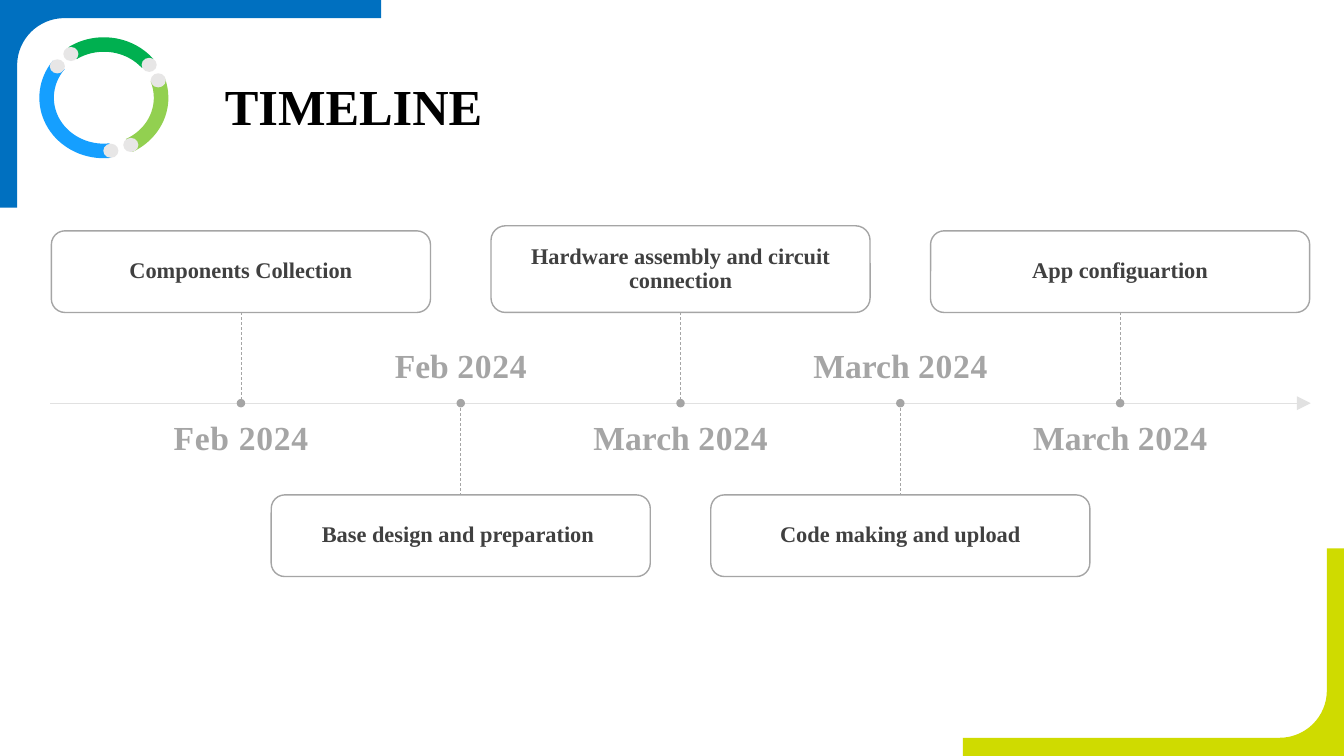
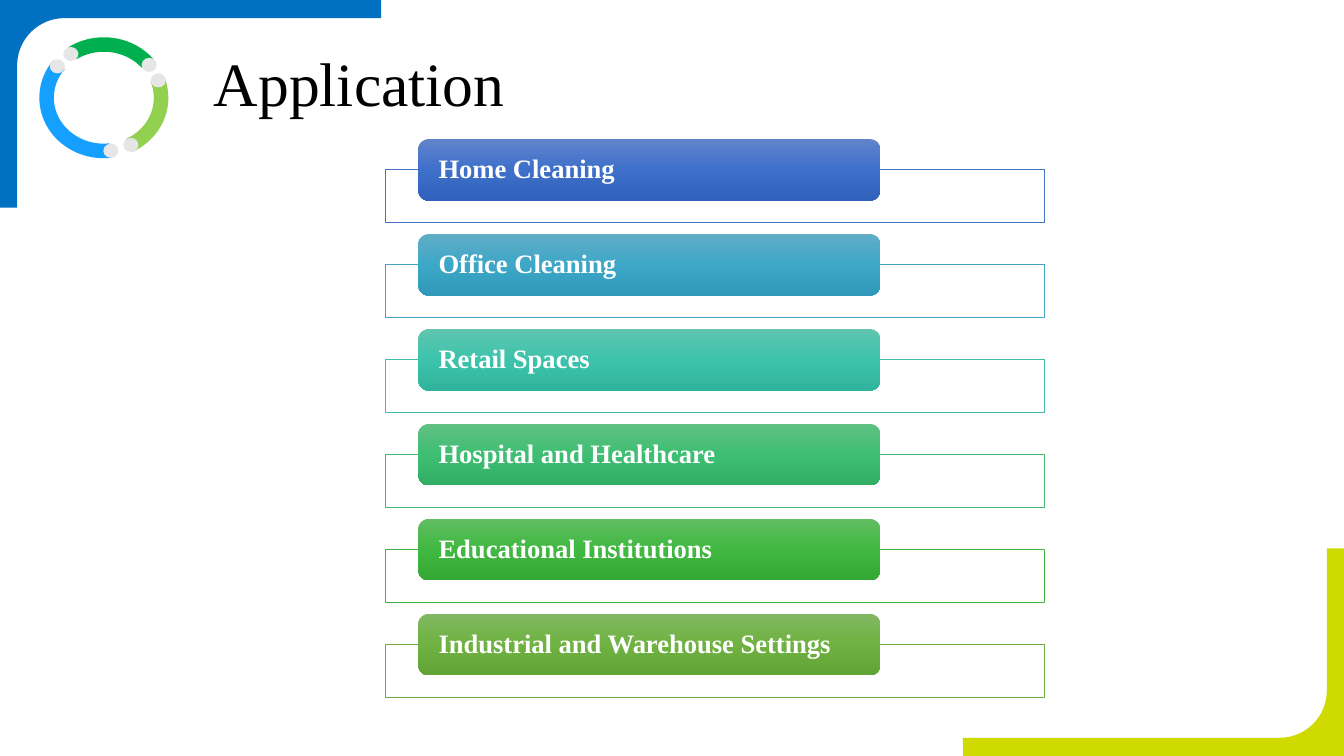
from copy import deepcopy
from math import cos, radians, sin

from lxml import etree
from pptx import Presentation
from pptx.dml.color import RGBColor
from pptx.enum.dml import MSO_LINE
from pptx.enum.shapes import MSO_CONNECTOR, MSO_SHAPE
from pptx.enum.text import MSO_ANCHOR, MSO_AUTO_SIZE, PP_ALIGN
from pptx.oxml.ns import qn
from pptx.util import Inches, Pt

STRAIGHT, DASH = MSO_CONNECTOR.STRAIGHT, MSO_LINE.DASH
OVAL, BLOCK_ARC = MSO_SHAPE.OVAL, MSO_SHAPE.BLOCK_ARC
RECTANGLE, ROUNDED = MSO_SHAPE.RECTANGLE, MSO_SHAPE.ROUNDED_RECTANGLE
TOP, MIDDLE, BOTTOM = MSO_ANCHOR.TOP, MSO_ANCHOR.MIDDLE, MSO_ANCHOR.BOTTOM
LEFT, CENTER = PP_ALIGN.LEFT, PP_ALIGN.CENTER

FONT = "Times New Roman"
BLACK = RGBColor(0x00, 0x00, 0x00)
WHITE = RGBColor(0xFF, 0xFF, 0xFF)
DARK_GRAY = RGBColor(0x40, 0x40, 0x40)
GRAY = RGBColor(0xA5, 0xA5, 0xA5)
AXIS_GRAY = RGBColor(0xE1, 0xE1, 0xE1)
DOT_GRAY = RGBColor(0xE7, 0xE6, 0xE6)
BLUE = RGBColor(0x00, 0x70, 0xC0)
LIME = RGBColor(0xCF, 0xDB, 0x00)
GREEN = RGBColor(0x00, 0xB0, 0x50)
SKY = RGBColor(0x15, 0x9F, 0xFF)
LIGHT_GREEN = RGBColor(0x92, 0xD0, 0x50)

SLIDE_WIDTH, SLIDE_HEIGHT = 13.33, 7.5

# Corner band outline; the curve runs from the fifth point to the last
CORNER = [(0.17, 2.06), (0, 2.06), (0, 0), (3.78, 0), (3.78, 0.18), (0.64, 0.18),
          (0.38, 0.18), (0.17, 0.39), (0.17, 0.65)]

# Ring segments: colour, start and end angle (clockwise degrees)
RING_SEGMENTS = [(GREEN, 235, 322), (SKY, 83, 216), (LIGHT_GREEN, 341, 62)]

# Milestones: label, box height, date runs, whether the month is spaced too
MILESTONES = [
    ("Components Collection", 0.81, ["Feb 2024"]),
    ("Base design and preparation ", 0.81, ["Feb ", "2024"]),
    ("Hardware assembly and circuit connection", 0.86, ["March ", "2024"]),
    ("Code making and upload", 0.81, ["March ", "2024"]),
    ("App configuartion", 0.81, ["March ", "2024"]),
]

# Applications: label, outline colour, gradient from top to bottom
APPLICATIONS = [
    ("Home Cleaning", "4472C4", ("6183CB", "3E70CA", "3062BB")),
    ("Office Cleaning", "44A3C0", ("61ADC8", "3DA7C7", "3098B8")),
    ("Retail Spaces", "43BDA7", ("60C5B1", "3DC3AB", "30B39C")),
    ("Hospital and Healthcare", "44B874", ("60C184", "3EBE73", "32AE65")),
    ("Educational Institutions", "46B246", ("61BD61", "40B841", "34A835")),
    ("Industrial and Warehouse Settings", "70AD47", ("81B861", "6FB242", "62A336")),
]


def style(shape, fill, line=None, width=1):
    shape.shadow.inherit = False
    if fill is not None:
        shape.fill.solid()
        shape.fill.fore_color.rgb = fill
    if line is None:
        shape.line.fill.background()
    else:
        shape.line.color.rgb = line
        shape.line.width = Pt(width)
    return shape


def add_corner(slide, points, fill):
    """Draw an outline whose last three points are one cubic curve."""
    corners = [(Inches(x), Inches(y)) for x, y in points]
    builder = slide.shapes.build_freeform(*corners[0], scale=1.0)
    builder.add_line_segments(corners[1:], close=True)
    shape = style(builder.convert_to_shape(), fill)
    segments = list(shape.element.iter(qn("a:lnTo")))[-3:]
    curve = etree.Element(qn("a:cubicBezTo"))
    segments[0].addprevious(curve)
    for segment in segments:
        curve.append(segment[0])
        segment.getparent().remove(segment)
    return shape


def add_box(slide, kind, left, top, width, height, fill, line=None, line_width=1):
    shape = slide.shapes.add_shape(
        kind, Inches(left), Inches(top), Inches(width), Inches(height))
    return style(shape, fill, line, line_width)


def add_centered(slide, kind, center_x, center_y, width, height, fill, line=None):
    return add_box(slide, kind, center_x - width / 2, center_y - height / 2,
                   width, height, fill, line)


def add_line(slide, start, end, color, width, dash=None, arrow=False):
    line = slide.shapes.add_connector(
        STRAIGHT, *(Inches(value) for value in start + end))
    line.line.color.rgb = color
    line.line.width = Pt(width)
    if dash is not None:
        line.line.dash_style = dash
    properties = line.element.spPr
    if arrow:
        etree.SubElement(properties.find(qn("a:ln")), qn("a:tailEnd"),
                         type="triangle", w="lg", len="lg")
    etree.SubElement(properties, qn("a:effectLst"))


def write(shape, texts, size, color, bold, align, anchor, margins, spacing=0.9):
    frame = shape.text_frame
    frame.word_wrap = True
    frame.auto_size = MSO_AUTO_SIZE.NONE
    frame.vertical_anchor = anchor
    frame.margin_left = frame.margin_right = Inches(margins[0])
    frame.margin_top = frame.margin_bottom = Inches(margins[1])
    paragraph = frame.paragraphs[0]
    paragraph.alignment = align
    paragraph.line_spacing = spacing
    for text in texts:
        run = paragraph.add_run()
        run.text = text
        run.font.name = FONT
        run.font.size = Pt(size)
        run.font.bold = bold
        run.font.color.rgb = color


def set_gradient(shape, colors):
    fill = shape.fill
    fill.gradient()
    fill.gradient_angle = 270
    stop_list = shape.element.spPr.find(qn("a:gradFill")).find(qn("a:gsLst"))
    stop_list.insert(1, deepcopy(stop_list[0]))
    for stop, position, color in zip(fill.gradient_stops, (0, 0.5, 1), colors):
        stop.position = position
        stop.color.rgb = RGBColor.from_string(color)


def add_slide(presentation, title, box, size, bold, align, anchor):
    slide = presentation.slides.add_slide(presentation.slide_layouts[5])
    placeholder = slide.shapes.title
    placeholder.left, placeholder.top, placeholder.width, placeholder.height = map(Inches, box)
    write(placeholder, [title], size, BLACK, bold, align, anchor, (0.1, 0.05), 1.0)
    return slide


def decorate_layout(slide):
    """Draw the shared corners and ring, then move them to the slide's layout."""
    # Corner bands: the lower one is the upper one turned by half a turn
    opposite = [(SLIDE_WIDTH - x, SLIDE_HEIGHT - y) for x, y in CORNER]
    parts = [add_corner(slide, opposite, LIME), add_corner(slide, CORNER, BLUE)]

    # Ring segments with a dot at each end
    center_x, center_y = 1.03, 0.97
    for color, start, end in RING_SEGMENTS:
        segment = add_centered(slide, BLOCK_ARC, center_x, center_y, 1.28, 1.2, color)
        for index, value in enumerate((start * 0.6, end * 0.6, 0.12)):
            segment.adjustments[index] = value
        parts.append(segment)
    for _, *ends in RING_SEGMENTS:
        for angle in map(radians, ends):
            parts.append(add_centered(slide, OVAL, center_x + 0.57 * cos(angle),
                                      center_y + 0.53 * sin(angle), 0.15, 0.14, DOT_GRAY))

    tree = slide.slide_layout.element.cSld.spTree
    for number, part in enumerate(parts, start=100):
        part.element.nvSpPr.cNvPr.set("id", str(number))
        tree.append(part.element)


def build_timeline(slide):
    axis_y, first_x, step = 4.0, 2.39, 2.18
    box_width, date_width, date_height = 3.76, 3.31, 0.54
    upper_bottom, lower_top = 3.1, 4.91
    add_line(slide, (0.5, axis_y), (13, axis_y), AXIS_GRAY, 1, arrow=True)

    # Boxes alternate above and below the axis, dates take the other side
    for index, (label, height, date_runs) in enumerate(MILESTONES):
        x = first_x + index * step
        above = index % 2 == 0
        box_top = upper_bottom - height if above else lower_top
        edge = upper_bottom if above else lower_top
        box = add_box(slide, ROUNDED, x - box_width / 2, box_top, box_width, height,
                      WHITE, GRAY)
        write(box, [label], 16, DARK_GRAY, True, CENTER, MIDDLE, (0.16, 0.1))
        add_line(slide, (x, min(edge, axis_y)), (x, max(edge, axis_y)), GRAY, 0.5, DASH)
        add_centered(slide, OVAL, x, axis_y, 0.07, 0.07, GRAY, GRAY)

        date = slide.shapes.add_textbox(
            Inches(x - date_width / 2), Inches(4.18 if above else 3.29),
            Inches(date_width), Inches(date_height))
        write(date, date_runs, 24, GRAY, True, CENTER, TOP if above else BOTTOM, (0, 0))
        # Widen the letter spacing of the last run
        list(date.element.iter(qn("a:rPr")))[-1].set("spc", "50")


def build_applications(slide):
    first_top, last_top = 1.38, 6.09
    step = (last_top - first_top) / (len(APPLICATIONS) - 1)
    for index, (label, outline, gradient) in enumerate(APPLICATIONS):
        top = first_top + index * step
        add_box(slide, RECTANGLE, 3.82, top + 0.3, 6.54, 0.53, WHITE,
                RGBColor.from_string(outline), 0.5)
        tab = add_box(slide, ROUNDED, 4.15, top, 4.58, 0.61, None)
        set_gradient(tab, gradient)
        write(tab, [label], 19, WHITE, True, LEFT, MIDDLE, (0.17, 0))


def main():
    presentation = Presentation()
    presentation.slide_width = Inches(SLIDE_WIDTH)
    presentation.slide_height = Inches(SLIDE_HEIGHT)

    timeline = add_slide(presentation, "TIMELINE", (2.13, 0.69, 6.67, 0.71),
                         36, True, LEFT, TOP)
    decorate_layout(timeline)
    build_timeline(timeline)

    applications = add_slide(presentation, "Application", (1.41, 0.49, 4.31, 0.65),
                             44, False, CENTER, MIDDLE)
    build_applications(applications)
    presentation.save("out.pptx")


if __name__ == "__main__":
    main()
